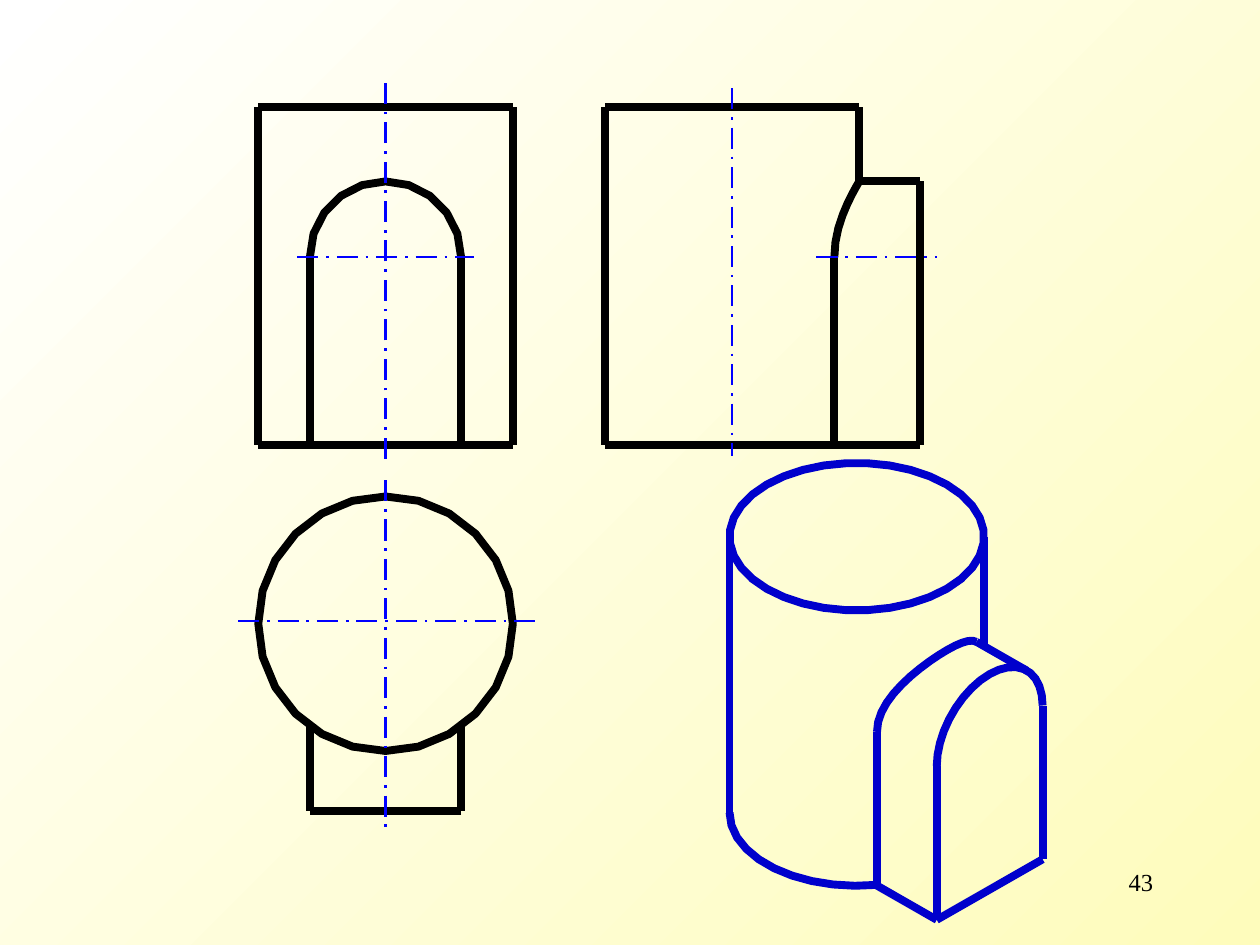
from math import cos, hypot, radians, sin, sqrt

from pptx import Presentation
from pptx import util as u
from pptx.dml.color import RGBColor
from pptx.enum import dml, text
from pptx.oxml.xmlchemy import OxmlElement

THEME = {
    "background": ("FEFCBC", "FFFFFF"),
    "solid": {"color": "0000CC", "width": u.Pt(4.5), "dash_style": None},
    "outline": {"color": "000000", "width": u.Pt(4.5), "dash_style": None},
    "axis": {"color": "0000FF", "width": u.Pt(1.5), "dash_style": dml.MSO_LINE.LONG_DASH_DOT},
    "number": {"name": "Times New Roman", "size": u.Pt(14)},
    "number_color": "000000",
}


def arc(center, radii, start, end, steps):
    """Points along an elliptical arc, angles in degrees, y pointing down."""
    angles = [radians(start + (end - start) * i / steps) for i in range(steps + 1)]
    return [(center[0] + radii[0] * cos(a), center[1] - radii[1] * sin(a)) for a in angles]


def stroke(group, points, style):
    """Draw a line through two points, or an open outline through more."""
    points = [(u.Inches(x), u.Inches(y)) for x, y in points]
    if len(points) == 2:
        shape = group.shapes.add_connector(1, *points[0], *points[1])
    else:
        builder = group.shapes.build_freeform(*points[0], scale=1.0)
        builder.add_line_segments(points[1:], close=False)
        shape = builder.convert_to_shape()
        shape.fill.background()
    shape.line.color.rgb = RGBColor.from_string(THEME[style]["color"])
    for key in ("width", "dash_style"):
        setattr(shape.line, key, THEME[style][key])
    shape._element.spPr.append(OxmlElement("a:effectLst"))


prs = Presentation()
prs.slide_width, prs.slide_height = u.Inches(10), u.Inches(7.5)
slide = prs.slides.add_slide(prs.slide_layouts[6])

# Background gradient
backdrop = slide.background.fill
backdrop.gradient()
backdrop.gradient_angle = 135
for stop, color in zip(backdrop.gradient_stops, THEME["background"]):
    stop.color.rgb = RGBColor.from_string(color)

# Dimensions of the cylinder and of the arched block that meets it
R, ARCH = 1.01, 0.6
TOP, SPRING, BASE = 0.85, 2.04, 3.53
CROWN = SPRING - ARCH
FRONT_X, SIDE_X, PLAN_Y = 3.06, 5.81, 4.95
FACE = 1.49                      # from the cylinder axis to the block's face
ROOT = sqrt(R ** 2 - ARCH ** 2)  # from the axis to where the block's sides meet the wall

# Pictorial view
pictorial = slide.shapes.add_group_shape()
PIC_X, RIM_Y, FOOT_Y = 6.8, 4.26, 6.45
FACE_X, FACE_Y, LEG = 7.855, 5.84, 1.22
ACROSS, RISE = (0.42, -0.24), 0.49
DEPTH = (0.7, 0.4)               # slide inches per inch of depth


def face_point(angle, joined=False):
    """A point of the arch on the block's face, or where it meets the cylinder."""
    a = radians(angle)
    depth = FACE - sqrt(R ** 2 - (ARCH * cos(a)) ** 2) if joined else 0
    return (FACE_X + ACROSS[0] * cos(a) - DEPTH[0] * depth,
            FACE_Y + ACROSS[1] * cos(a) - RISE * sin(a) - DEPTH[1] * depth)


right, left, wall = face_point(0), face_point(180), face_point(180, True)
crest, wall_crest = face_point(45), face_point(45, True)
right_foot, left_foot, wall_foot = [(x, y + LEG) for x, y in (right, left, wall)]
for points in (
    arc((PIC_X, RIM_Y), (R, 0.585), 5, 365, 36),
    [face_point(a) for a in range(0, 181, 10)],
    [face_point(a, True) for a in range(180, 44, -9)],
    (wall_foot, wall),
    (left_foot, left),
    (right, right_foot),
    arc((PIC_X, FOOT_Y), (R, 0.58), 180, 279, 10),
    (wall_foot, left_foot),
    (left_foot, right_foot),
    (crest, wall_crest),
    ((PIC_X + R, 5.13), (PIC_X + R, RIM_Y)),
    ((PIC_X - R, RIM_Y), (PIC_X - R, FOOT_Y)),
):
    stroke(pictorial, points, "solid")

# Three projected views
views = slide.shapes.add_group_shape()
front_l, front_r = FRONT_X - R, FRONT_X + R
arch_l, arch_r = FRONT_X - ARCH, FRONT_X + ARCH
side_l, side_r, face_x, root_x = SIDE_X - R, SIDE_X + R, SIDE_X + FACE, SIDE_X + ROOT
plan_wall, plan_face = PLAN_Y + ROOT, PLAN_Y + FACE
wall_curve = [(SIDE_X + sqrt(R ** 2 - x ** 2), SPRING - y)
              for x, y in arc((0, 0), (ARCH, -ARCH), 0, 90, 8)]
for points in (
    # Front
    ((front_l, TOP), (front_r, TOP)),
    arc((FRONT_X, SPRING), (ARCH, ARCH), 0, 180, 10),
    ((arch_l, BASE), (arch_l, SPRING)),
    ((arch_r, SPRING), (arch_r, BASE)),
    ((front_l, BASE), (front_r, BASE)),
    ((front_r, BASE), (front_r, TOP)),
    ((front_l, TOP), (front_l, BASE)),
    # Plan
    arc((FRONT_X, PLAN_Y), (R, R), 0, 360, 24),
    ((arch_r, plan_face), (arch_l, plan_face)),
    ((arch_l, plan_wall), (arch_l, plan_face)),
    ((arch_r, plan_wall), (arch_r, plan_face)),
    # Side
    ((side_l, TOP), (side_r, TOP)),
    wall_curve,
    ((root_x, BASE), (root_x, SPRING)),
    ((face_x, BASE), (face_x, CROWN)),
    ((side_l, BASE), (face_x, BASE)),
    ((face_x, CROWN), (side_r, CROWN)),
    ((side_r, CROWN), (side_r, TOP)),
    ((side_l, TOP), (side_l, BASE)),
):
    stroke(views, points, "outline")

# Centre lines
for points in (
    ((FRONT_X, 3.64), (FRONT_X, 0.6)),
    ((FRONT_X, 3.81), (FRONT_X, 6.6)),
    ((1.89, 4.93), (4.26, 4.93)),
    ((SIDE_X, 0.7), (SIDE_X, 3.62)),
    ((2.36, SPRING), (3.76, SPRING)),
    ((6.48, SPRING), (7.44, SPRING)),
):
    stroke(views, points, "axis")

# Slide number
number = slide.shapes.add_textbox(*map(u.Inches, (7.17, 6.83, 2.08, 0.5))).text_frame
number.word_wrap = True
line = number.paragraphs[0]
line.text = "43"
line.alignment = text.PP_ALIGN.RIGHT
for key, value in THEME["number"].items():
    setattr(line.runs[0].font, key, value)
line.runs[0].font.color.rgb = RGBColor.from_string(THEME["number_color"])

prs.save("out.pptx")
